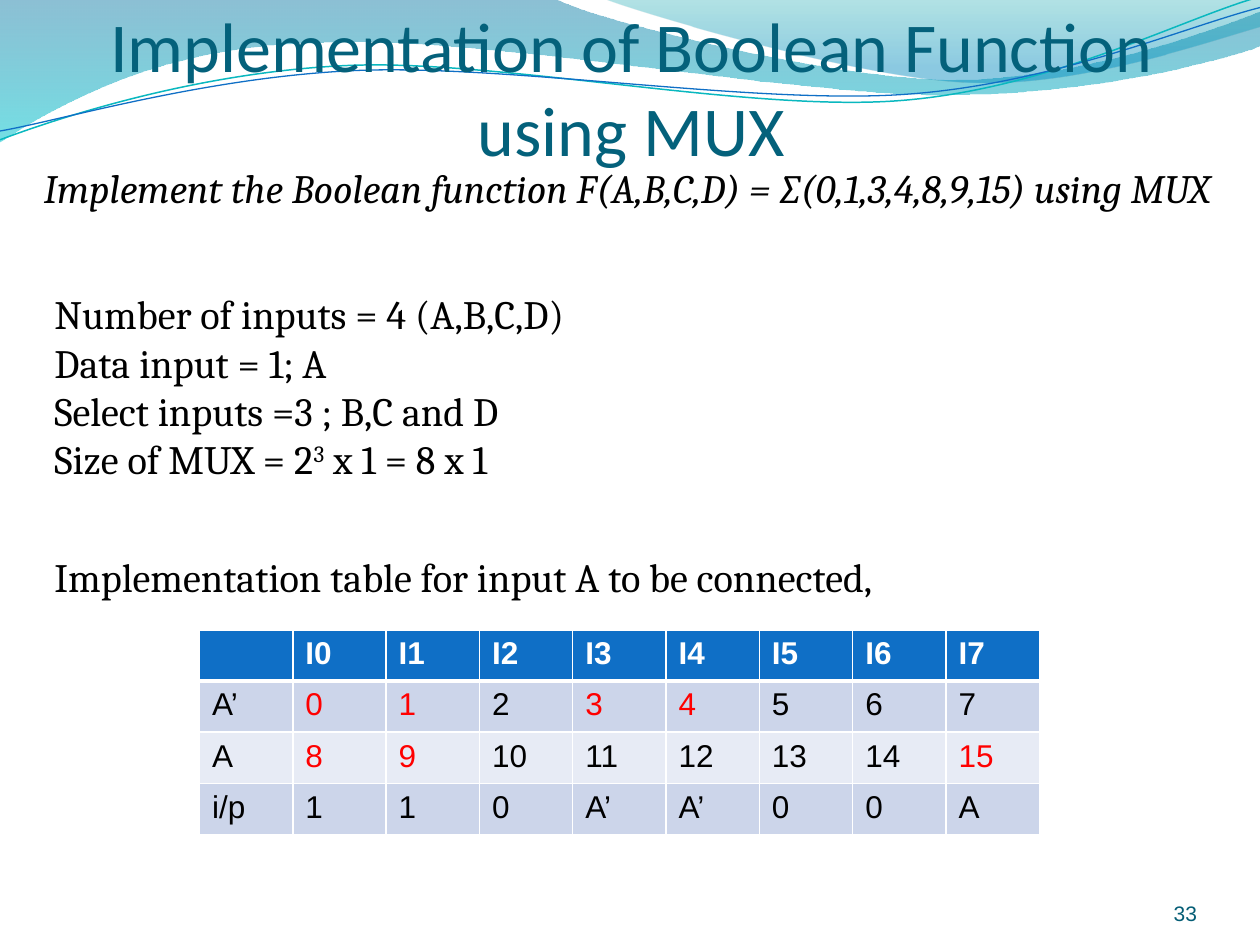
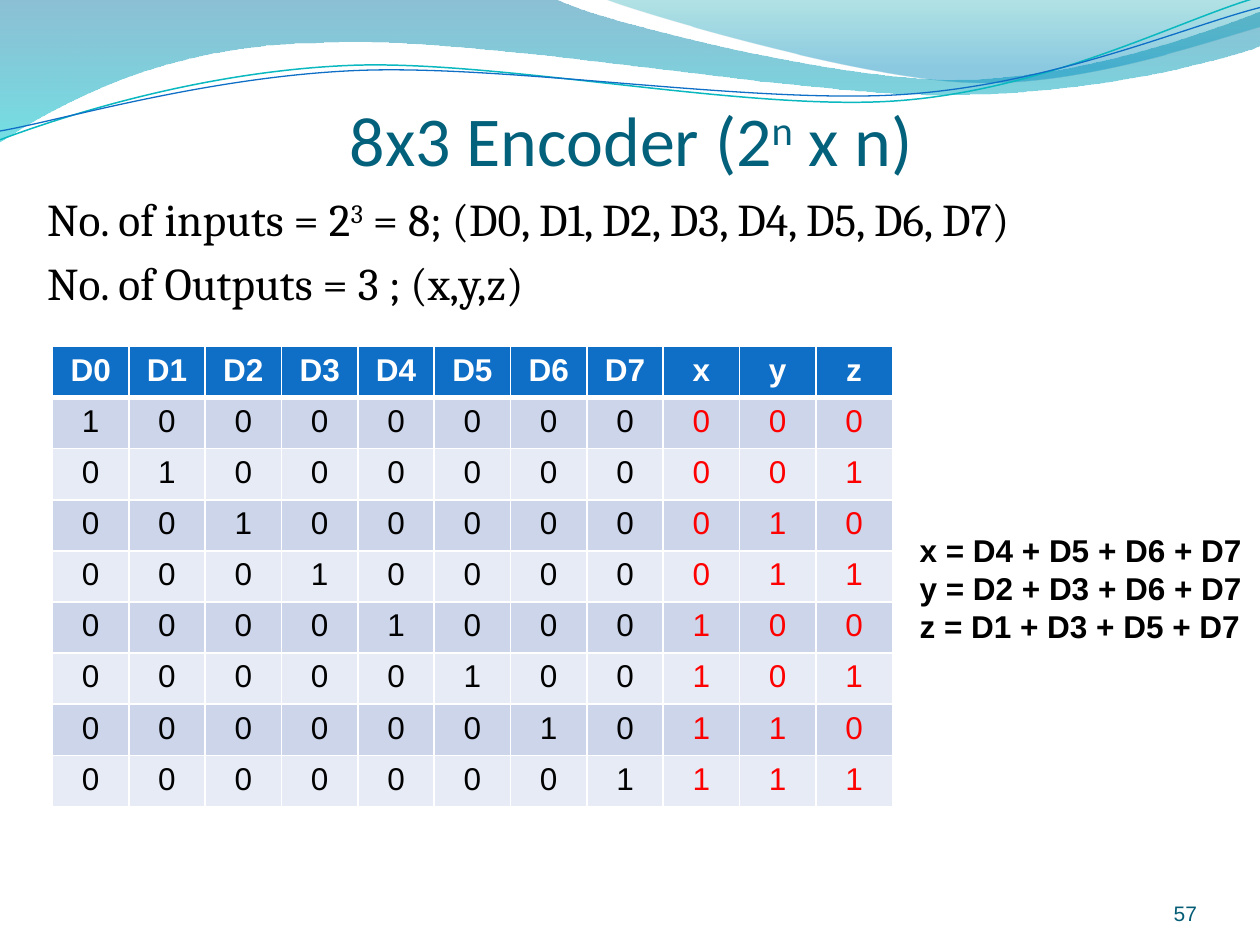
from lxml import etree
from pptx import Presentation
from pptx import util as u
from pptx.dml.color import RGBColor
from pptx.enum import text
from pptx.oxml.ns import qn

W, H = 10, 7.5
TABLE_WIDTH = W * 2 / 3
ROW_HEIGHT = u.Pt(29.2)
COLORS = {
    "title": "04617B", "number": "045D75", "ink": "000000", "marked": "FF0000",
    "white": "FFFFFF", "header": "0F6FC6", "odd": "CCD5EA", "even": "E7EBF5",
    "teal": "0AB8BF", "blue": "0F6FC6", "deep": "0074A1", "aqua": "00C6CF",
    "sea": "00A1A9", "sky": "008BBF",
}
LEFT, CENTER, RIGHT = text.PP_ALIGN.LEFT, text.PP_ALIGN.CENTER, text.PP_ALIGN.RIGHT
TOP, BOTTOM = text.MSO_ANCHOR.TOP, text.MSO_ANCHOR.BOTTOM

BANDS = [
    {"start": (0, -0.01),
     "parts": [(4.4, -0.01),
               (4.76, 0.17, 6.64, 0.63, 7.58, 0.63), (8.53, 0.63, 9.58, 0.26, 10, 0.09),
               (10.01, 0.36),
               (9.83, 0.44, 8.7, 0.76, 7.46, 0.75), (6.22, 0.75, 3.82, 0.28, 2.57, 0.34),
               (1.29, 0.35, 0.46, 0.83, -0.01, 1.13)],
     "stops": [(0, "deep", 45), (1, "aqua", 55)]},
    {"start": (4.79, -0.01),
     "parts": [(5.09, 0.11, 6.82, 0.62, 7.69, 0.65), (8.56, 0.69, 9.61, 0.32, 10, 0.21),
               (10, 0)],
     "stops": [(0, "sea", 30), (0.8, "sky", 45)]},
    {"start": (0, 1.11),
     "parts": [(0.48, 0.93, 1.58, 0.57, 2.77, 0.52), (3.95, 0.47, 5.93, 0.89, 7.13, 0.8),
               (8.33, 0.71, 9.38, 0.15, 9.98, -0.02)],
     "line": ("teal", 0.85)},
    {"start": (0, 1.04),
     "parts": [(0.47, 0.96, 1.64, 0.61, 2.83, 0.56), (4.03, 0.51, 5.97, 0.83, 7.17, 0.75),
               (8.36, 0.67, 9.41, 0.21, 10, 0.06)],
     "line": ("blue", 0.75)},
]

MINTERMS = {"0", "1", "3", "4", "8", "9", "15"}
MUX_ROWS = [
    [""] + [f"I{i}" for i in range(8)],
    ["A’"] + [str(i) for i in range(8)],
    ["A"] + [str(i) for i in range(8, 16)],
    ["i/p", "1", "1", "0", "A’", "A’", "0", "0", "A"],
]
ENCODER_ROWS = [[f"D{i}" for i in range(8)] + ["x", "y", "z"]] + [
    [str(int(i == n)) for i in range(8)] + list(f"{n:03b}") for n in range(8)]

SERIF = {"font": "Cambria", "size": 23}
SLIDES = [
    {"number": "33", "title": "Implementation of Boolean Function using MUX",
     "title_top": H / 30,
     "texts": [
         ((W / 40, H / 6, 9.67, 0.88),
          ["Implement the Boolean function F(A,B,C,D) = ∑(0,1,3,4,8,9,15) using MUX"],
          {**SERIF, "italic": True}, {}),
         ((W / 30, 2.25, 5, 2.04),
          ["Number of inputs = 4 (A,B,C,D)", "Data input = 1; A",
           "Select inputs =3 ; B,C and D", "Size of MUX = 2^3^ x 1 = 8 x 1"], SERIF, {}),
         ((W / 30, 4.33, 8.67, 0.88),
          ["Implementation table for input A to be connected,"], SERIF, {}),
     ],
     "table": {"left": W * 19 / 120, "top": H * 2 / 3, "rows": MUX_ROWS, "align": LEFT,
               "marked": lambda row, col, value: row < 3 and value in MINTERMS}},
    {"number": "57", "title": "8x3 Encoder (2^n^ x n)", "title_top": W / 30,
     "texts": [
         ((W * 11 / 400, 1.47, 9.52, 5.45),
          ["No. of inputs = 2^3^ = 8; (D0, D1, D2, D3, D4, D5, D6, D7)",
           "No. of Outputs = 3 ; (x,y,z)"], {"font": "Cambria", "size": 26}, {"gap": 5.2}),
         ((7.2, H * 5 / 9, 2.81, 1.01),
          ["x = D4 + D5 + D6 + D7", "y = D2 + D3 + D6 + D7", "z = D1 + D3 + D5 + D7"],
          {"bold": True}, {"wrap": False}),
     ],
     "table": {"left": W / 24, "top": 2.75, "rows": ENCODER_ROWS, "align": CENTER,
               "marked": lambda row, col, value: col >= 8}},
]


def rgb(name):
    return RGBColor.from_string(COLORS[name])


def inches(values):
    return [u.Inches(v) for v in values]


def write(tf, lines, font="Arial", size=18, color="ink", bold=False, italic=False,
          align=LEFT, gap=0):
    for i, line in enumerate(lines):
        p = tf.add_paragraph() if i else tf.paragraphs[0]
        p.alignment = align
        if i and gap:
            p.space_before = u.Pt(gap)
        for j, part in enumerate(line.split("^")):
            r = p.add_run()
            r.text = part
            r.font.name, r.font.size = font, u.Pt(size)
            r.font.bold, r.font.italic = bold, italic
            r.font.color.rgb = rgb(color)
            if j % 2:
                r._r.get_or_add_rPr().set("baseline", "30000")


def set_frame(tf, margins=(0.1, 0.05, 0.1, 0.05), anchor=TOP, wrap=True):
    tf.margin_left, tf.margin_top, tf.margin_right, tf.margin_bottom = inches(margins)
    tf.vertical_anchor, tf.word_wrap = anchor, wrap
    tf.auto_size = text.MSO_AUTO_SIZE.NONE


def add_text(s, at, lines, style, wrap=True, gap=0):
    tf = s.shapes.add_textbox(*inches(at)).text_frame
    set_frame(tf, wrap=wrap)
    write(tf, lines, gap=gap, **style)


def bend(sp, parts):
    for segment, part in zip(list(sp.element.iter(qn("a:lnTo"))), parts):
        if len(part) == 6:
            curve = etree.Element(qn("a:cubicBezTo"))
            for x, y in zip(part[::2], part[1::2]):
                etree.SubElement(curve, qn("a:pt"), x=str(u.Inches(x) - sp.left),
                                 y=str(u.Inches(y) - sp.top))
            segment.getparent().replace(segment, curve)


def add_band(s, band):
    builder = s.shapes.build_freeform(*inches(band["start"]))
    builder.add_line_segments([inches(part[-2:]) for part in band["parts"]],
                              close="stops" in band)
    sp = builder.convert_to_shape()
    bend(sp, band["parts"])
    sp.shadow.inherit = False
    if "line" in band:
        color, width = band["line"]
        sp.fill.background()
        sp.line.color.rgb, sp.line.width = rgb(color), u.Pt(width)
        return sp
    sp.line.fill.background()
    sp.fill.gradient()
    sp.fill.gradient_angle = 270
    for stop, (position, color, _) in zip(sp.fill.gradient_stops, band["stops"]):
        stop.position, stop.color.rgb = position, rgb(color)
    for gs, (_, _, opacity) in zip(sp.element.iter(qn("a:gs")), band["stops"]):
        etree.SubElement(gs[0], qn("a:alpha"), val=str(opacity * 1000))
    return sp


def set_borders(cell, header):
    tcPr = cell._tc.get_or_add_tcPr()
    for i, side in enumerate(("lnL", "lnR", "lnT", "lnB")):
        width = 3 if header and side == "lnB" else 1
        ln = etree.Element(qn(f"a:{side}"), w=str(u.Pt(width)))
        fill = etree.SubElement(ln, qn("a:solidFill"))
        etree.SubElement(fill, qn("a:srgbClr"), val=COLORS["white"])
        tcPr.insert(i, ln)


def add_grid(s, left, top, rows, align, marked):
    table = s.shapes.add_table(len(rows), len(rows[0]), *inches((left, top, TABLE_WIDTH)),
                               ROW_HEIGHT * len(rows)).table
    for column in table.columns:
        column.width = u.Inches(TABLE_WIDTH / len(rows[0]))
    for i, values in enumerate(rows):
        table.rows[i].height = ROW_HEIGHT
        for j, value in enumerate(values):
            cell = table.cell(i, j)
            cell.fill.solid()
            cell.fill.fore_color.rgb = rgb("header" if i == 0 else "odd" if i % 2 else "even")
            set_borders(cell, i == 0)
            color = "white" if i == 0 else "marked" if marked(i, j, value) else "ink"
            if value:
                write(cell.text_frame, [value], color=color, bold=i == 0, align=align)


def main():
    prs = Presentation()
    prs.slide_width, prs.slide_height = inches((W, H))
    layout = prs.slide_layouts[5]
    for n, content in enumerate(SLIDES):
        s = prs.slides.add_slide(layout)
        if n == 0:
            for i, band in enumerate(BANDS):
                layout.shapes.element.insert(2 + i, add_band(s, band).element)
        title = s.shapes.title
        title.left, title.top, title.width, title.height = inches(
            (0.75, content["title_top"], 8.52, 1.1))
        set_frame(title.text_frame, (0, 0.05, 0, 0), BOTTOM)
        write(title.text_frame, [content["title"]], "Calibri", 40, "title", align=CENTER)
        number = s.shapes.add_textbox(*inches((W * 13 / 15, 6.95, W / 12, 0.4))).text_frame
        set_frame(number, (0, 0, 0, 0), BOTTOM)
        write(number, [content["number"]], size=12, color="number", align=RIGHT)
        for at, lines, style, options in content["texts"]:
            add_text(s, at, lines, style, **options)
        add_grid(s, **content["table"])
    prs.save("out.pptx")


if __name__ == "__main__":
    main()
